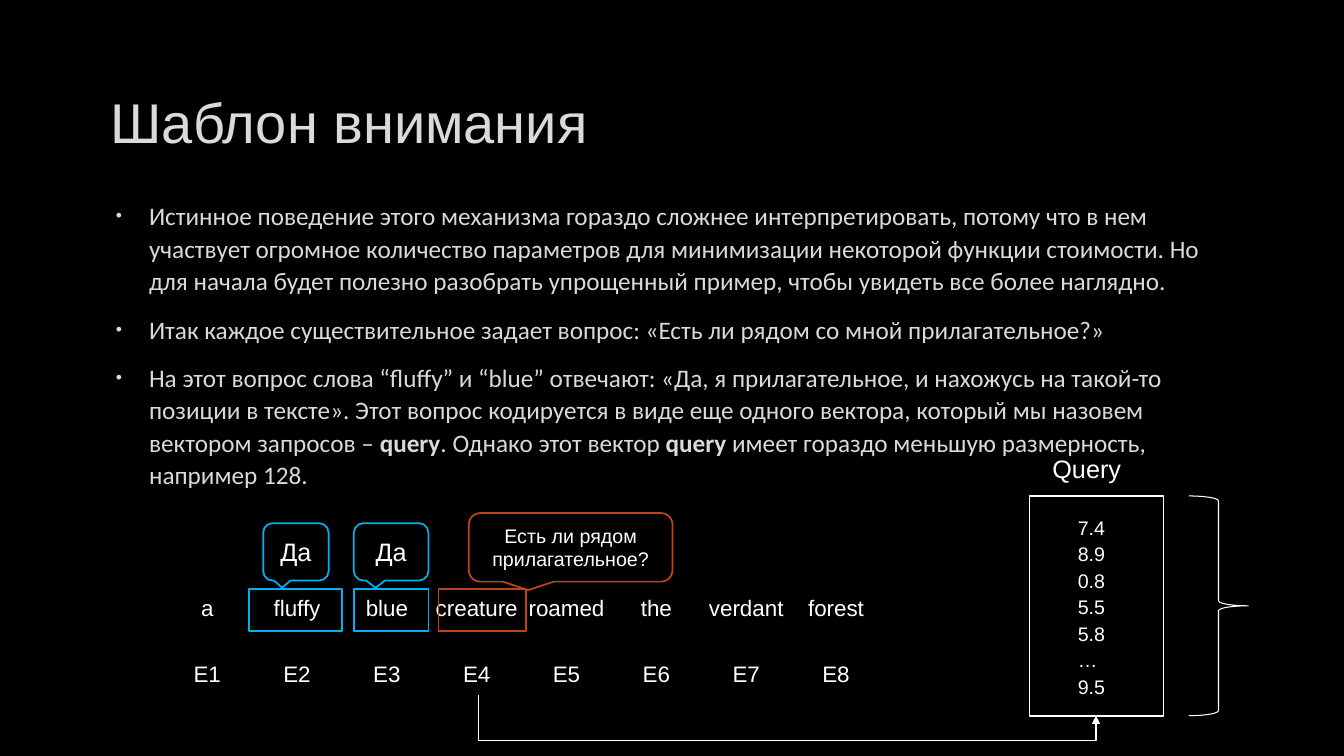
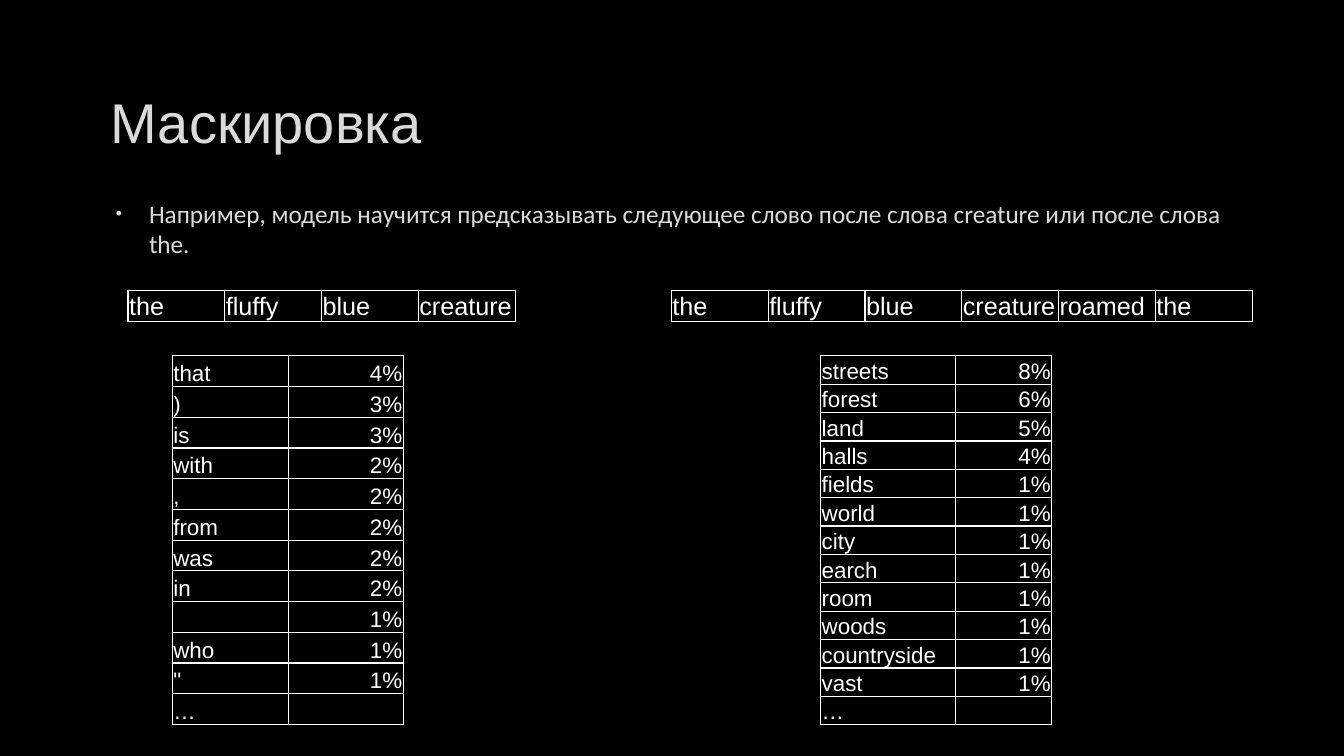
from lxml import etree
from pptx import Presentation
from pptx.dml.color import RGBColor
from pptx.enum.shapes import MSO_CONNECTOR, MSO_SHAPE
from pptx.enum.text import MSO_ANCHOR, PP_ALIGN
from pptx.oxml.ns import qn
from pptx.util import Inches, Pt

RECT = MSO_SHAPE.RECTANGLE
CALLOUT = MSO_SHAPE.ROUNDED_RECTANGULAR_CALLOUT
BRACE = MSO_SHAPE.RIGHT_BRACE
ELBOW = MSO_CONNECTOR.ELBOW
TOP, MIDDLE, BOTTOM = MSO_ANCHOR.TOP, MSO_ANCHOR.MIDDLE, MSO_ANCHOR.BOTTOM
LEFT, CENTER, RIGHT = PP_ALIGN.LEFT, PP_ALIGN.CENTER, PP_ALIGN.RIGHT

COLORS = {"bg": "000000", "text": "DADADA", "white": "FFFFFF",
          "blue": "00B0F0", "rust": "BC451B"}
PLAIN_TABLE = "{2D5ABB26-0587-4C30-8999-92F81FD0307C}"


def rgb(color):
    return RGBColor.from_string(COLORS[color])


def sub(parent, tag, **attrs):
    return etree.SubElement(parent, qn(tag), attrs)


def write(p, text, size=18, color="white", font="Arial", align=LEFT):
    p.alignment = align
    if not text:
        sub(p._p, "a:endParaRPr", sz=str(size * 100))
    for i, piece in enumerate(text.split("**")):
        if piece:
            r = p.add_run()
            r.text = piece
            r.font.size = Pt(size)
            r.font.name = font
            r.font.bold = i % 2 == 1
            r.font.color.rgb = rgb(color)


class Deck:
    def __init__(self):
        self.prs = Presentation()
        self.prs.slide_width = Inches(13.33)
        self.prs.slide_height = Inches(7.5)
        fill = self.prs.slide_master.background.fill
        fill.solid()
        fill.fore_color.rgb = rgb("bg")
        self.s = None

    def slide(self, title):
        self.s = self.prs.slides.add_slide(self.prs.slide_layouts[6])
        tf = self.box(1, 0.67, 11.32, 1.06, MIDDLE)
        write(tf.paragraphs[0], title, size=40, color="text")

    def box(self, x, y, w, h, anchor=TOP):
        sp = self.s.shapes.add_textbox(Inches(x), Inches(y), Inches(w), Inches(h))
        tf = sp.text_frame
        tf.word_wrap = True
        tf.vertical_anchor = anchor
        return tf

    def label(self, text, x, y, w, h):
        write(self.box(x, y, w, h).paragraphs[0], text)

    def bullets(self, items, h, spacing=1.0):
        tf = self.box(1, 1.92, 11.32, h)
        for i, text in enumerate(items):
            p = tf.add_paragraph() if i else tf.paragraphs[0]
            pPr = p._p.get_or_add_pPr()
            pPr.set("marL", str(Inches(0.38)))
            pPr.set("indent", str(Inches(-0.33)))
            sub(sub(pPr, "a:buClr"), "a:srgbClr", val=COLORS["text"])
            sub(pPr, "a:buSzPct", val="70000")
            sub(pPr, "a:buFont", typeface="Arial")
            sub(pPr, "a:buChar", char="•")
            p.line_spacing = spacing
            p.space_after = Pt(11.6)
            write(p, text, color="text", font="Calibri")

    def shape(self, kind, x, y, w, h, color="white", width=1.25, text="", size=18):
        sp = self.s.shapes.add_shape(kind, Inches(x), Inches(y), Inches(w), Inches(h))
        sp.shadow.inherit = False
        sp.fill.background()
        sp.line.color.rgb = rgb(color)
        sp.line.width = Pt(width)
        if text:
            tf = sp.text_frame
            tf.word_wrap = True
            tf.vertical_anchor = MIDDLE
            write(tf.paragraphs[0], text, size=size, align=CENTER)

    def arrow_below(self, x1, y1, x2, y2, depth):
        c = self.s.shapes.add_connector(ELBOW, Inches(x1), Inches(y1), Inches(x2), Inches(y2))
        c.line.color.rgb = rgb("white")
        c.line.width = Pt(0.75)
        spPr = c._element.spPr
        sub(spPr.find(qn("a:ln")), "a:tailEnd", type="triangle")
        sub(spPr, "a:effectLst")
        geom = spPr.find(qn("a:prstGeom"))
        geom.set("prst", "bentConnector4")
        av = geom.find(qn("a:avLst"))
        bend = round(depth / (y2 - y1) * 100000)
        for name, value in (("adj1", 0), ("adj2", bend)):
            sub(av, "a:gd", name=name, fmla=f"val {value}")

    def table(self, rows, x, y, widths, h, aligns, size=16, anchor=BOTTOM, grid=True):
        frame = self.s.shapes.add_table(len(rows), len(widths), Inches(x), Inches(y),
                                        Inches(sum(widths)), Inches(h))
        tbl = frame.table
        tbl.first_row = tbl.horz_banding = False
        frame._element.find(".//" + qn("a:tableStyleId")).text = PLAIN_TABLE
        for col, w in zip(tbl.columns, widths):
            col.width = Inches(w)
        for row, texts in zip(tbl.rows, rows):
            row.height = Inches(h / len(rows))
            for cell, text, align in zip(row.cells, texts, aligns):
                cell.margin_left = cell.margin_right = cell.margin_top = Inches(0.01)
                cell.margin_bottom = 0
                cell.vertical_anchor = anchor
                if grid:
                    self.border(cell)
                cell.fill.background()
                write(cell.text_frame.paragraphs[0], text, size=size, align=align)

    def border(self, cell):
        tcPr = cell._tc.get_or_add_tcPr()
        for side in "LRTB":
            ln = sub(tcPr, "a:ln" + side, w=str(Pt(1)))
            sub(sub(ln, "a:solidFill"), "a:srgbClr", val=COLORS["white"])


def attention(d):
    d.slide("Шаблон внимания")
    d.bullets([
        "Истинное поведение этого механизма гораздо сложнее интерпретировать, потому что "
        "в нем участвует огромное количество параметров для минимизации некоторой функции "
        "стоимости. Но для начала будет полезно разобрать упрощенный пример, чтобы увидеть "
        "все более наглядно.",
        "Итак каждое существительное задает вопрос: «Есть ли рядом со мной прилагательное?»",
        "На этот вопрос слова “fluffy” и “blue” отвечают: «Да, я прилагательное, и нахожусь "
        "на такой-то позиции в тексте». Этот вопрос кодируется в виде еще одного вектора, "
        "который мы назовем вектором запросов – **query**. Однако этот вектор **query **имеет "
        "гораздо меньшую размерность, например 128.",
    ], h=4.44, spacing=1.07)

    words = ["a", "fluffy", "blue", "creature", "roamed", "the", "verdant", "forest"]
    codes = ["Е1", "E2", "E3", "E4", "E5", "E6", "E7", "E8"]
    n = len(words)
    d.table([words, [""] * n, codes], 1.61, 5.84, [7.13 / n] * n, 0.98,
            [CENTER] * n, grid=False)
    for x, w, color in ((2.47, 0.92, "blue"), (3.51, 0.74, "blue"), (4.35, 0.87, "rust")):
        d.shape(RECT, x, 5.84, w, 0.42, color)
    d.shape(CALLOUT, 4.65, 5.09, 2.02, 0.68, "rust",
            text="Есть ли рядом прилагательное?", size=14)
    for x, w in ((3.51, 0.74), (2.61, 0.65)):
        d.shape(CALLOUT, x, 5.19, w, 0.57, "blue", text="Да")

    query = ["7.4", "8.9", "0.8", "5.5", "5.8", "…", "9.5"]
    d.table([[v] for v in query], 10.68, 5.09, [1.28], 1.84, [LEFT], size=14, grid=False)
    d.shape(RECT, 10.21, 4.92, 1.33, 2.18)
    d.arrow_below(4.75, 6.9, 10.87, 7.1, depth=0.45)
    d.shape(BRACE, 11.79, 4.92, 0.59, 2.18, width=0.75)
    d.label("Query", 10.34, 4.45, 2.17, 0.4)


def masking(d):
    d.slide("Маскировка")
    d.bullets(["Например, модель научится предсказывать следующее слово после слова "
               "creature или после слова the."], h=0.82)
    phrase = ["the", "fluffy", "blue", "creature", "roamed", "the"]
    left = [("that", "4%"), (")", "3%"), ("is", "3%"), ("with", "2%"), (",", "2%"),
            ("from", "2%"), ("was", "2%"), ("in", "2%"), ("", "1%"), ("who", "1%"),
            ('"', "1%"), ("…", "")]
    right = [("streets", "8%"), ("forest", "6%"), ("land", "5%"), ("halls", "4%")]
    right += [(word, "1%") for word in ("fields", "world", "city", "earch", "room", "woods",
                                        "countryside", "vast")]
    right.append(("…", ""))
    for x, n in ((1.27, 4), (6.66, 6)):
        d.table([phrase[:n]], x, 2.88, [0.96] * n, 0.31, [LEFT] * n, size=18, anchor=MIDDLE)
    for rows, x, widths in ((left, 1.71, [1.15, 1.14]), (right, 8.14, [1.34, 0.95])):
        d.table(rows, x, 3.53, widths, 3.66, [LEFT, RIGHT])


def main():
    d = Deck()
    attention(d)
    masking(d)
    d.prs.save("out.pptx")


if __name__ == "__main__":
    main()
